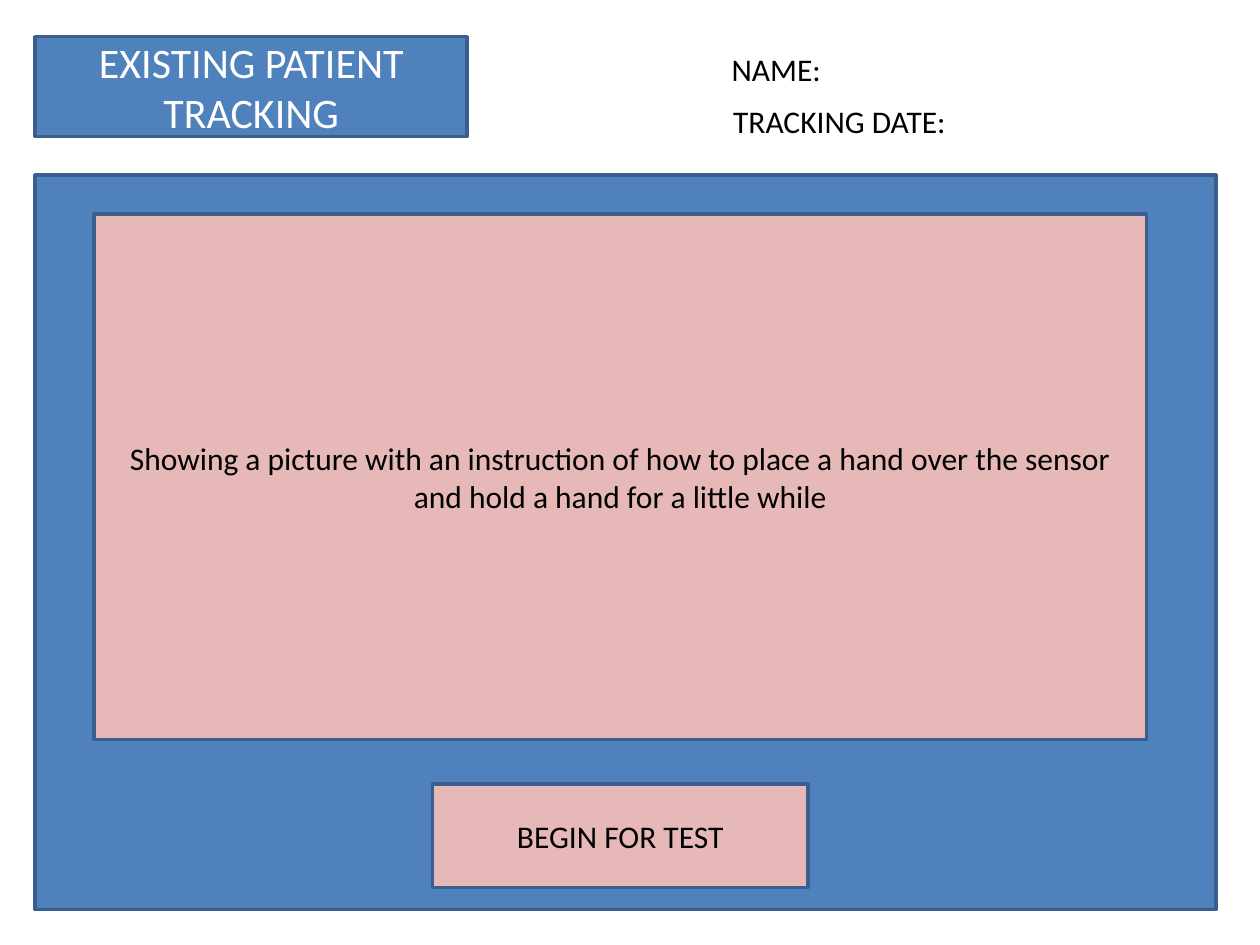
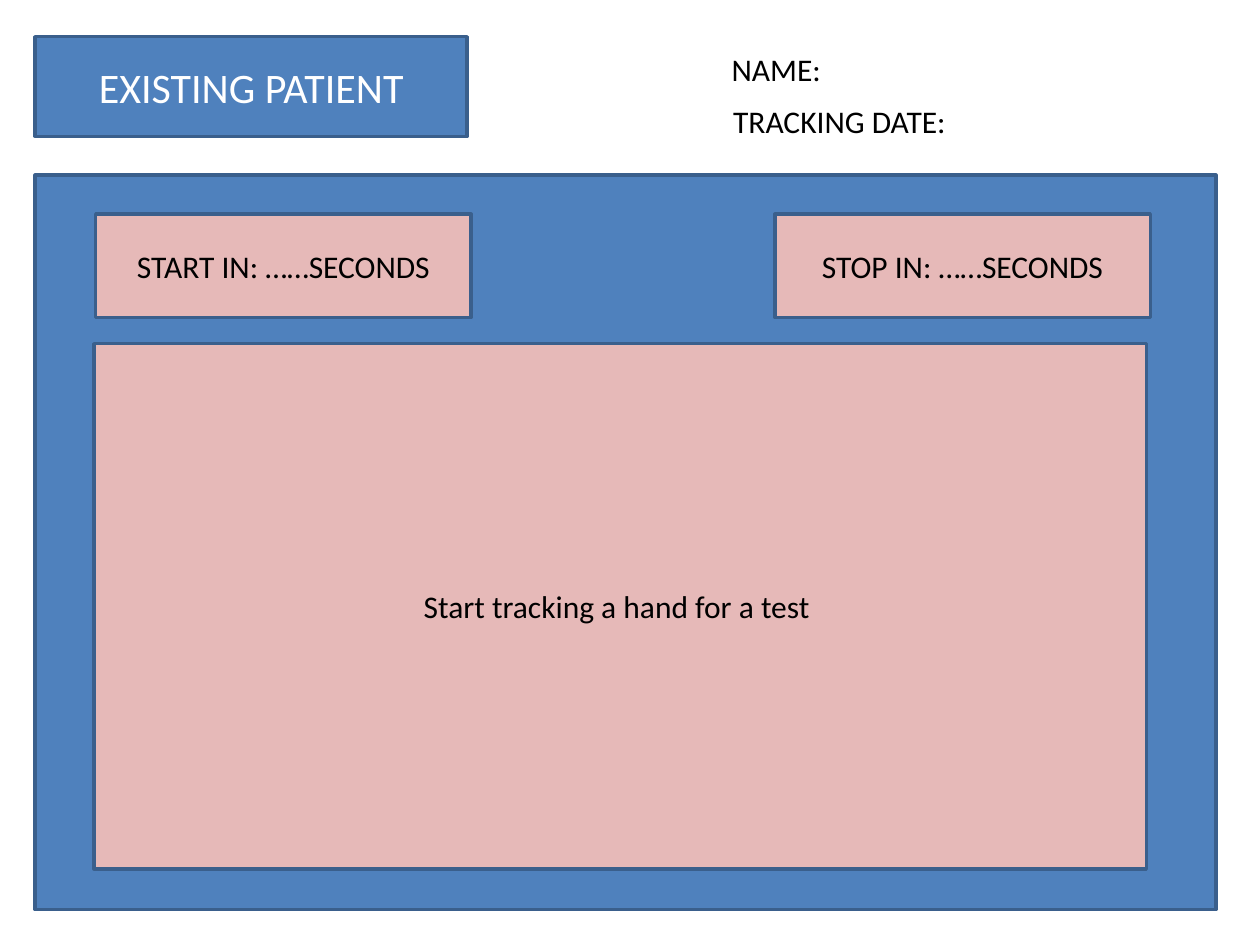
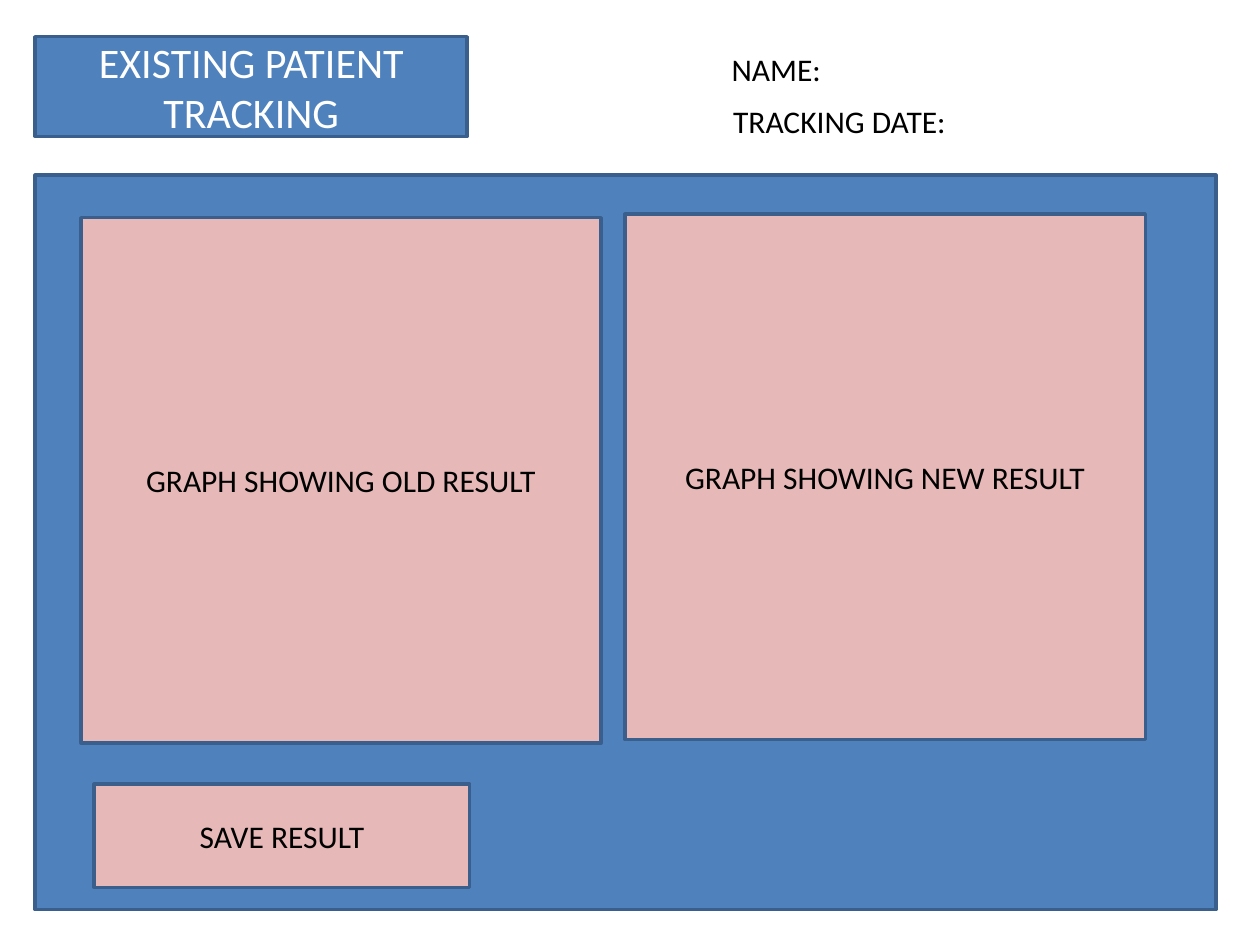
"""Build three wireframe screens for tracking an existing patient."""
import pptx
import pptx.dml.color
import pptx.enum.shapes
import pptx.enum.text
import pptx.util

Cm = pptx.util.Cm
FONT = "Calibri"
BLUE, EDGE, PINK = "4F81BD", "3A5F8C", "E6B9B8"
BLACK, WHITE = "000000", "FFFFFF"
MARGIN = 0.71
CONTENT_TOP = 4.32
DISPLAY_LEFT, DISPLAY_WIDTH, DISPLAY_HEIGHT = 1.9, 21.21, 10.59
BUTTON_WIDTH, BUTTON_HEIGHT = 7.57, 2.08
BUTTON_TOP = 15.81
GRAPH_WIDTH = 10.49


def color(value):
    return pptx.dml.color.RGBColor.from_string(value)


class Screens:
    def __init__(self):
        self.deck = pptx.Presentation()
        self.deck.slide_width = Cm(25.4)
        self.deck.slide_height = Cm(19.05)
        self.page = None

    def add_page(self, title):
        self.page = self.deck.slides.add_slide(self.deck.slide_layouts[5])
        self.title(title)
        self.label("NAME:", 14.5, 0.89, 3)
        self.label("TRACKING DATE:", 14.53, 1.93, 5.18)
        self.box("", MARGIN, 3.53, 23.8, 14.81, BLUE)

    def title(self, text):
        box = self.page.shapes.title
        box.left, box.top = Cm(MARGIN), Cm(0.74)
        box.width, box.height = Cm(8.71), Cm(2.01)
        self.paint(box, BLUE)
        self.add_text(box, text, 24, WHITE)

    def label(self, text, left, top, width):
        box = self.page.shapes.add_textbox(Cm(left), Cm(top), Cm(width), Cm(1.02))
        self.add_text(box, text, 18, BLACK, pptx.enum.text.PP_ALIGN.LEFT)
        box.text_frame.auto_size = pptx.enum.text.MSO_AUTO_SIZE.SHAPE_TO_FIT_TEXT
        box.text_frame.vertical_anchor = pptx.enum.text.MSO_ANCHOR.TOP

    def box(self, text, left, top, width, height, fill=PINK):
        box = self.page.shapes.add_shape(
            pptx.enum.shapes.MSO_SHAPE.RECTANGLE,
            Cm(left), Cm(top), Cm(width), Cm(height))
        box.shadow.inherit = False
        self.paint(box, fill)
        if text:
            self.add_text(box, text, 18, BLACK)

    def button(self, text, left, top=BUTTON_TOP):
        self.box(text, left, top, BUTTON_WIDTH, BUTTON_HEIGHT)

    def display(self, text, top):
        self.box(text, DISPLAY_LEFT, top, DISPLAY_WIDTH, DISPLAY_HEIGHT)

    def graph(self, text, left, top):
        self.box(text, left, top, GRAPH_WIDTH, DISPLAY_HEIGHT)

    def paint(self, box, fill):
        box.fill.solid()
        box.fill.fore_color.rgb = color(fill)
        box.line.color.rgb = color(EDGE)
        box.line.width = pptx.util.Pt(2)

    def add_text(self, box, text, size, ink, align=pptx.enum.text.PP_ALIGN.CENTER):
        frame = box.text_frame
        frame.word_wrap = True
        frame.auto_size = pptx.enum.text.MSO_AUTO_SIZE.NONE
        frame.vertical_anchor = pptx.enum.text.MSO_ANCHOR.MIDDLE
        para = frame.paragraphs[0]
        para.alignment = align
        span = para.add_run()
        span.text = text
        span.font.name = FONT
        span.font.size = pptx.util.Pt(size)
        span.font.color.rgb = color(ink)


def main():
    screens = Screens()

    screens.add_page("EXISTING PATIENT TRACKING")
    screens.display("Showing a picture with an instruction of how to place a hand "
                    "over the sensor and hold a hand for a little while", CONTENT_TOP)
    screens.button("BEGIN FOR TEST", DISPLAY_LEFT + (DISPLAY_WIDTH - BUTTON_WIDTH) / 2)

    screens.add_page("EXISTING PATIENT")
    screens.display("Start tracking a hand for a test ", 6.93)
    screens.button("START IN: ……SECONDS", 1.93, CONTENT_TOP)
    screens.button("STOP IN: ……SECONDS", 15.62, CONTENT_TOP)

    screens.add_page("EXISTING PATIENT TRACKING")
    screens.graph("GRAPH SHOWING OLD RESULT", 1.63, 4.39)
    screens.graph("GRAPH SHOWING NEW RESULT", 12.6, CONTENT_TOP)
    screens.button("SAVE RESULT", DISPLAY_LEFT)

    screens.deck.save("out.pptx")


if __name__ == "__main__":
    main()
